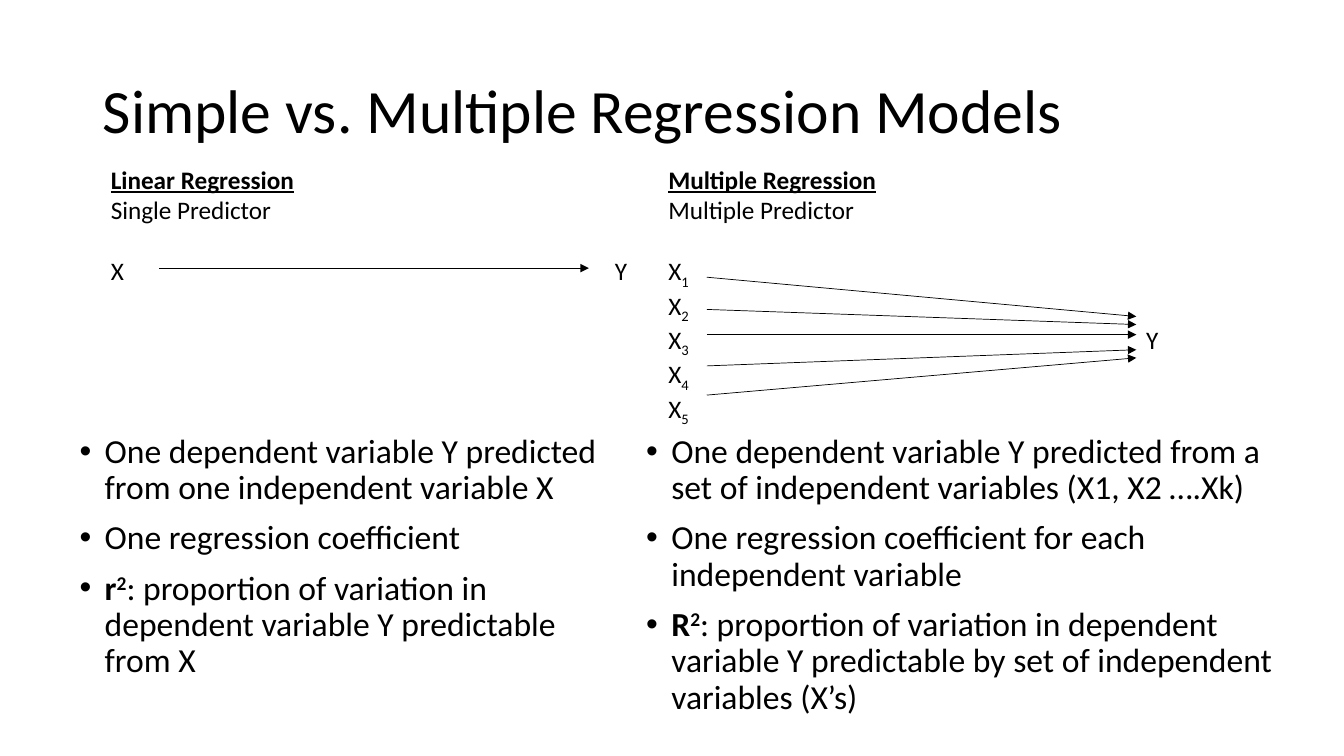
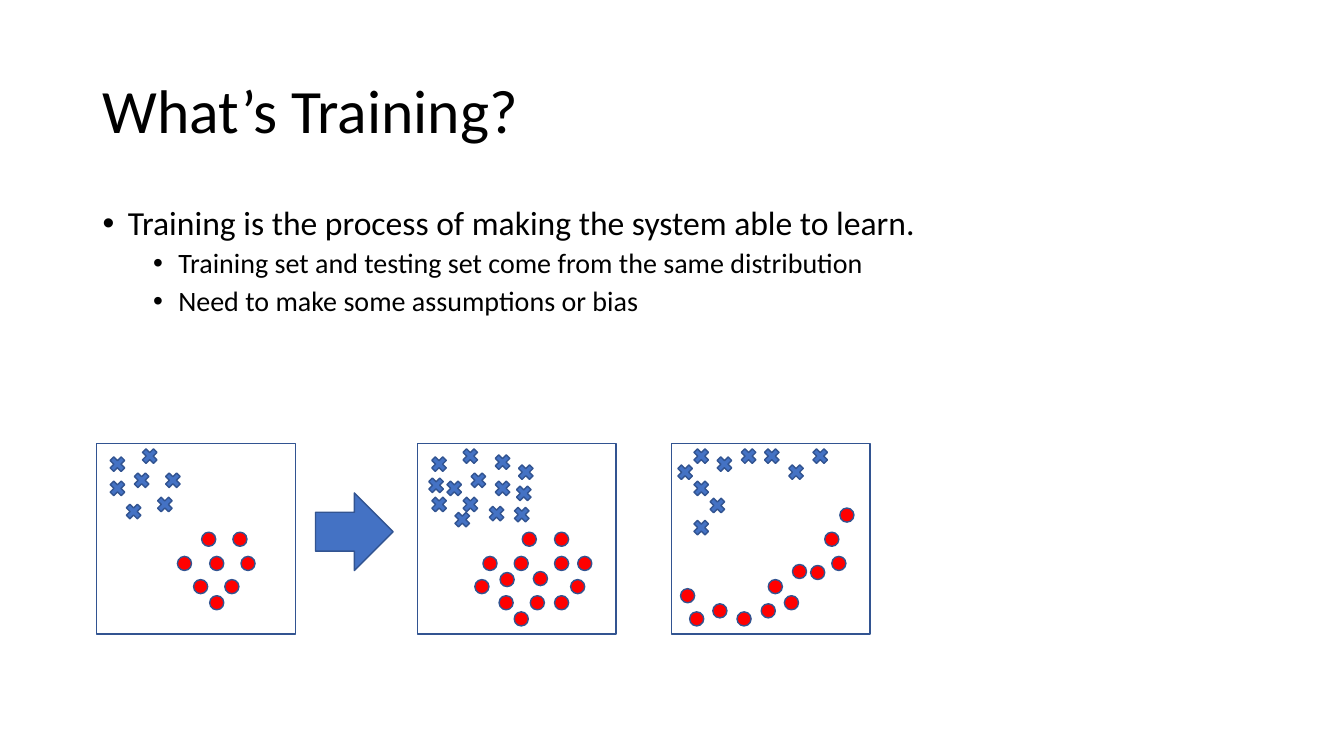
import pptx
import pptx.dml.color
import pptx.enum.shapes
import pptx.enum.text
import pptx.oxml
import pptx.oxml.ns
import pptx.util
import lxml.etree

Inches = pptx.util.Inches
Pt = pptx.util.Pt
Shape = pptx.enum.shapes.MSO_SHAPE
qn = pptx.oxml.ns.qn

FONT = "Calibri"
BLACK, WHITE, RED = "000000", "FFFFFF", "FF0000"
BLUE, OUTLINE = "4472C4", "325491"
SUBSCRIPT, SUPERSCRIPT = -25000, 30000


def color(hex_value):
    return pptx.dml.color.RGBColor.from_string(hex_value)


def add_text(slide, box, paragraphs):
    """Each paragraph is (runs, settings); each run is (text, bold, baseline)."""
    text_frame = slide.shapes.add_textbox(*[Inches(value) for value in box]).text_frame
    text_frame.word_wrap = True
    for index, (runs, settings) in enumerate(paragraphs):
        paragraph = text_frame.add_paragraph() if index else text_frame.paragraphs[0]
        properties = paragraph._p.get_or_add_pPr()
        if "before" in settings:
            paragraph.space_before = Pt(settings["before"])
        if "bullet_indent" in settings:
            paragraph.line_spacing = 0.9
            properties.set("marL", str(Inches(settings["bullet_indent"])))
            properties.set("indent", str(Inches(-0.25)))
            lxml.etree.SubElement(properties, qn("a:buFont")).set("typeface", "Arial")
            lxml.etree.SubElement(properties, qn("a:buChar")).set("char", "•")
        if "tab" in settings:
            tab_list = lxml.etree.SubElement(properties, qn("a:tabLst"))
            tab = lxml.etree.SubElement(tab_list, qn("a:tab"))
            tab.set("pos", str(Inches(settings["tab"])))
            tab.set("algn", "l")
        for text, bold, baseline in runs:
            run = paragraph.add_run()
            run.text = text
            run.font.name = FONT
            run.font.size = Pt(settings["size"])
            run.font.color.rgb = color(BLACK)
            run.font.bold = bold
            run.font.underline = settings.get("underline", False)
            if baseline:
                run._r.get_or_add_rPr().set("baseline", str(baseline))


presentation = pptx.Presentation()
presentation.slide_width = Inches(13.33)
presentation.slide_height = Inches(7.5)

# Slides with their shared title style
slides = []
for title_text in ("Simple vs. Multiple Regression Models", "What’s Training?"):
    slide = presentation.slides.add_slide(presentation.slide_layouts[5])
    title = slide.shapes.title
    title.left, title.top = Inches(0.92), Inches(0.4)
    title.width, title.height = Inches(11.5), Inches(1.45)
    title.text_frame.text = title_text
    title.text_frame.auto_size = pptx.enum.text.MSO_AUTO_SIZE.NONE
    title.text_frame.vertical_anchor = pptx.enum.text.MSO_ANCHOR.MIDDLE
    paragraph = title.text_frame.paragraphs[0]
    paragraph.alignment = pptx.enum.text.PP_ALIGN.LEFT
    paragraph.line_spacing = 0.9
    paragraph.font.name = FONT
    paragraph.font.size = Pt(44)
    paragraph.font.color.rgb = color(BLACK)
    slides.append(slide)
regression_slide, training_slide = slides

# Regression: bullets below the diagrams
bullet = {"size": 24, "before": 10, "bullet_indent": 0.25}
bullet_columns = [
    ((0.69, 4.26, 5.41, 3),
     "One dependent variable Y predicted from one independent variable X",
     "One regression coefficient",
     "r", ": proportion of variation in dependent variable Y predictable from X"),
    ((6.31, 4.26, 6.61, 3),
     "One dependent variable Y predicted from a set of independent variables (X1, X2 ….Xk)",
     "One regression coefficient for each independent variable",
     "R", ": proportion of variation in dependent variable Y predictable by set of "
     "independent variables (X’s)"),
]
for box, variables, coefficients, symbol, proportion in bullet_columns:
    add_text(regression_slide, box, [
        ([(variables, False, 0)], bullet),
        ([(coefficients, False, 0)], bullet),
        ([(symbol, True, 0), ("2", True, SUPERSCRIPT), (proportion, False, 0)], bullet),
    ])

# Regression: headings and variable names
single_predictor = [([("X\tY", False, 0)], {"size": 18, "before": 22, "tab": 5})]
multiple_predictors = []
for number in range(1, 6):
    runs = [("X", False, 0), (str(number), False, SUBSCRIPT)]
    settings = {"size": 18}
    if number == 1:
        settings["before"] = 22
    if number == 3:
        runs.append(("\tY", False, 0))
        settings["tab"] = 4.74
    multiple_predictors.append((runs, settings))
for left, height, kind, predictor, variables in [
    (1, 1.31, "Linear", "Single", single_predictor),
    (6.53, 2.52, "Multiple", "Multiple", multiple_predictors),
]:
    add_text(regression_slide, (left, 1.58, 5.41, height), [
        ([(kind + " Regression", True, 0)], {"size": 18, "underline": True}),
        ([(predictor + " Predictor", False, 0)], {"size": 18}),
    ] + variables)

# Regression: arrows from predictors to Y
for left, start, end in [
    (1.58, 2.66, 2.66),
    (7.01, 2.75, 3.14), (7.01, 3.07, 3.22), (7.01, 3.32, 3.32),
    (7.01, 3.63, 3.47), (7.01, 3.92, 3.55),
]:
    arrow = regression_slide.shapes.add_connector(
        pptx.enum.shapes.MSO_CONNECTOR.STRAIGHT,
        Inches(left), Inches(start), Inches(left + 4.26), Inches(end))
    arrow.line.color.rgb = color(BLACK)
    arrow.line.width = Pt(0.5)
    lxml.etree.SubElement(arrow.line._get_or_add_ln(), qn("a:tailEnd")).set("type", "triangle")
    lxml.etree.SubElement(arrow._element.spPr, qn("a:effectLst"))

# Training: bullets
sub_bullet = {"size": 20, "before": 5, "bullet_indent": 0.75}
add_text(training_slide, (0.92, 2, 11.5, 4.76), [
    ([("Training is the process of making the system able to learn.", False, 0)], bullet),
    ([("Training set and testing set come from the same distribution", False, 0)], sub_bullet),
    ([("Need to make some assumptions or bias", False, 0)], sub_bullet),
])

# Training: panels, arrow and the two classes of samples
panels = [(0.96, 4.4), (4.14, 4.4), (6.66, 4.4)]
crosses = [
    # training set
    (1.06, 4.5), (1.3, 4.66), (1.38, 4.42), (1.06, 4.74), (1.61, 4.66), (1.53, 4.9),
    (1.22, 4.97),
    # testing set, same distribution
    (4.25, 4.5), (4.22, 4.71), (4.56, 4.42), (4.4, 4.74), (4.64, 4.66), (4.88, 4.48),
    (4.56, 4.9), (4.88, 4.74), (5.09, 4.79), (5.11, 4.58), (4.25, 4.9), (4.48, 5.05),
    (4.82, 4.99), (5.07, 5),
    # testing set, other distribution
    (6.85, 4.42), (7.55, 4.42), (7.08, 4.5), (6.69, 4.58), (7.32, 4.42), (7.79, 4.58),
    (8.03, 4.42), (6.85, 4.74), (7.01, 4.91), (6.85, 5.13),
]
dots = [
    # training set
    (2, 5.28), (1.76, 5.52), (2.31, 5.28), (2.08, 5.52), (1.92, 5.75), (2.39, 5.52),
    (2.23, 5.75), (2.08, 5.91),
    # testing set, same distribution
    (5.18, 5.28), (4.79, 5.52), (5.5, 5.28), (5.5, 5.52), (5.1, 5.52), (5.73, 5.52),
    (5.66, 5.75), (5.26, 5.91), (4.96, 5.68), (4.95, 5.91), (5.29, 5.67), (5.5, 5.91),
    (5.1, 6.07), (4.71, 5.75),
    # testing set, other distribution
    (6.75, 5.84), (6.84, 6.07), (8.18, 5.28), (7.86, 5.6), (7.62, 5.75), (8.25, 5.52),
    (7.55, 5.99), (7.78, 5.91), (8.33, 5.04), (8.04, 5.61), (7.31, 6.07), (7.07, 5.99),
]
for kind, width, height, fill, positions in [
    (Shape.FLOWCHART_PROCESS, 1.97, 1.89, WHITE, panels),
    (Shape.RIGHT_ARROW, 0.77, 0.77, BLUE, [(3.13, 4.89)]),
    (Shape.MATH_MULTIPLY, 0.21, 0.21, BLUE, crosses),
    (Shape.FLOWCHART_CONNECTOR, 0.14, 0.14, RED, dots),
]:
    for left, top in positions:
        shape = training_slide.shapes.add_shape(
            kind, Inches(left), Inches(top), Inches(width), Inches(height))
        shape.shadow.inherit = False
        shape.fill.solid()
        shape.fill.fore_color.rgb = color(fill)
        shape.line.color.rgb = color(OUTLINE)
        shape.line.width = Pt(1)

presentation.save("out.pptx")
